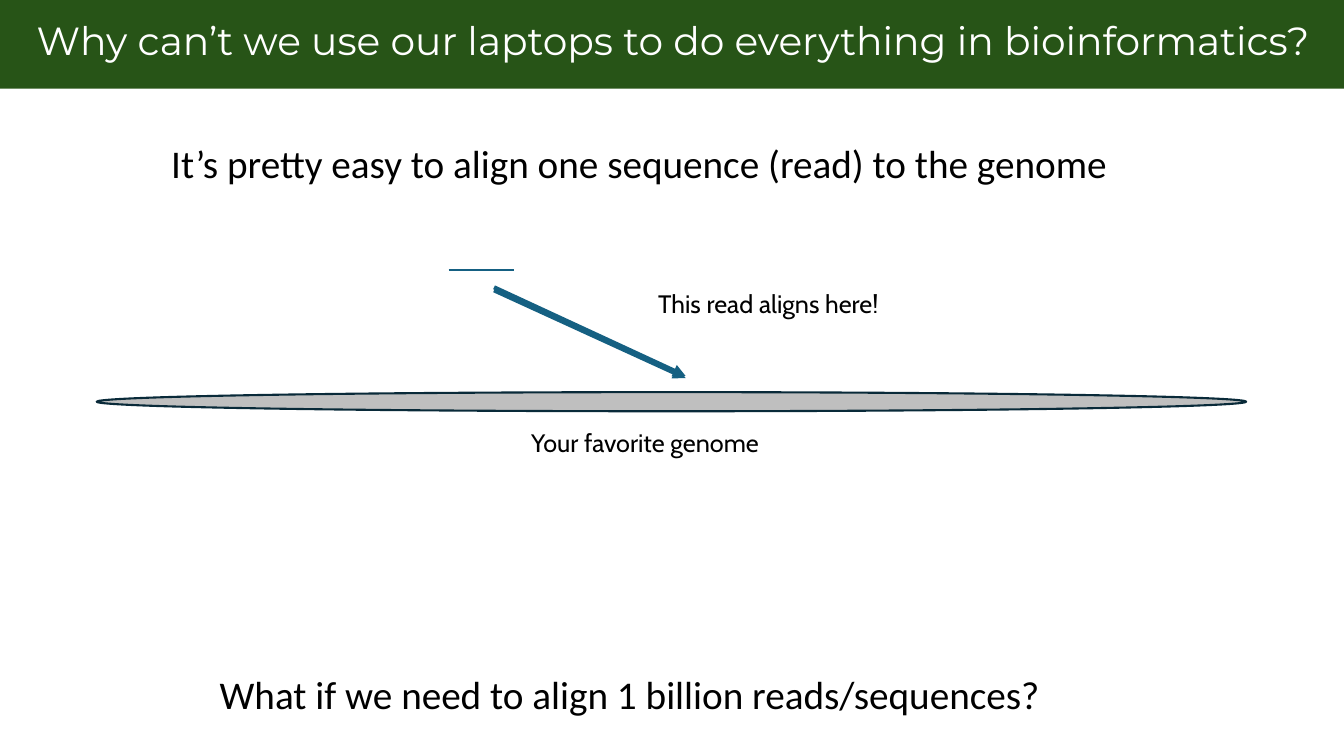
from lxml import etree
from pptx import Presentation
from pptx.dml.color import RGBColor
from pptx.enum.shapes import MSO_CONNECTOR, MSO_SHAPE
from pptx.enum.text import MSO_AUTO_SIZE, PP_ALIGN
from pptx.oxml.ns import qn
from pptx.util import Inches, Pt

STRAIGHT = MSO_CONNECTOR.STRAIGHT
RECTANGLE, OVAL = MSO_SHAPE.RECTANGLE, MSO_SHAPE.OVAL
CENTER = PP_ALIGN.CENTER
FIT_SHAPE = MSO_AUTO_SIZE.SHAPE_TO_FIT_TEXT
GREEN, BLUE, NAVY, GRAY = "275417", "156082", "092A39", "BFBFBF"
BLACK, WHITE = "000000", "FFFFFF"


def color(hex_string):
    """Turn a hex string into a colour."""
    return RGBColor.from_string(hex_string)


def add_filled_shape(slide, kind, box, fill, outline=None):
    """Add a flat preset shape, outlined only if a colour is given."""
    shape = slide.shapes.add_shape(kind, *map(Inches, box))
    shape.shadow.inherit = False
    shape.fill.solid()
    shape.fill.fore_color.rgb = color(fill)
    if outline:
        shape.line.color.rgb = color(outline)
        shape.line.width = Pt(1.5)
    else:
        shape.line.fill.background()


def add_text(slide, text, box, font, size, text_color=BLACK, wrap=True):
    """Add a one-paragraph text box and return its shape."""
    shape = slide.shapes.add_textbox(*map(Inches, box))
    shape.text_frame.word_wrap = wrap
    paragraph = shape.text_frame.paragraphs[0]
    paragraph.text = text
    paragraph.font.name = font
    paragraph.font.size = Pt(size)
    paragraph.font.color.rgb = color(text_color)
    return shape


def add_title(slide, text):
    """Add the title across a green band."""
    add_filled_shape(slide, RECTANGLE, (0, 0, 13.33, 0.88), GREEN)
    title = add_text(slide, text, (0.03, 0.11, 13.29, 0.57), "Montserrat", 28, WHITE)
    title.text_frame.auto_size = FIT_SHAPE
    title.text_frame.paragraphs[0].alignment = CENTER


def add_statement(slide, text, left, top):
    """Add a large body statement."""
    shape = add_text(slide, text, (left, top, 9.89, 0.61), "Calibri", 28)
    paragraph = shape.text_frame.paragraphs[0]
    paragraph.line_spacing = 0.9
    paragraph.space_before = Pt(10.1)


def add_label(slide, text, left, top, width):
    """Add a small diagram label."""
    shape = add_text(slide, text, (left, top, width, 0.4), "Cabin", 18, wrap=False)
    shape.text_frame.auto_size = FIT_SHAPE


def add_line(slide, start, end, width, arrow=False):
    """Add a blue line, optionally with an arrowhead at its end."""
    connector = slide.shapes.add_connector(STRAIGHT, *map(Inches, start + end))
    connector.line.color.rgb = color(BLUE)
    connector.line.width = Pt(width)
    if arrow:
        line = connector.line._get_or_add_ln()
        etree.SubElement(line, qn("a:tailEnd"), type="triangle")
    etree.SubElement(connector._element.spPr, qn("a:effectLst"))


def main():
    """Build the read alignment slide."""
    presentation = Presentation()
    presentation.slide_width = Inches(13.33)
    presentation.slide_height = Inches(7.5)
    slide = presentation.slides.add_slide(presentation.slide_layouts[6])

    add_title(slide, "Why can’t we use our laptops to do everything in bioinformatics?")
    add_statement(
        slide, "It’s pretty easy to align one sequence (read) to the genome", 1.6, 1.39
    )
    add_statement(slide, "What if we need to align 1 billion reads/sequences?", 2.08, 6.65)

    add_line(slide, (4.45, 2.68), (5.1, 2.68), 1.5)
    add_filled_shape(slide, OVAL, (0.96, 3.89, 11.4, 0.19), GRAY, NAVY)
    add_label(slide, "This read aligns here!", 6.43, 2.81, 2.49)
    add_label(slide, "Your favorite genome", 5.17, 4.19, 2.53)
    for start_y, end_y in ((2.88, 3.75), (2.85, 3.73)):
        add_line(slide, (4.9, start_y), (6.8, end_y), 3, arrow=True)

    presentation.save("out.pptx")


if __name__ == "__main__":
    main()
